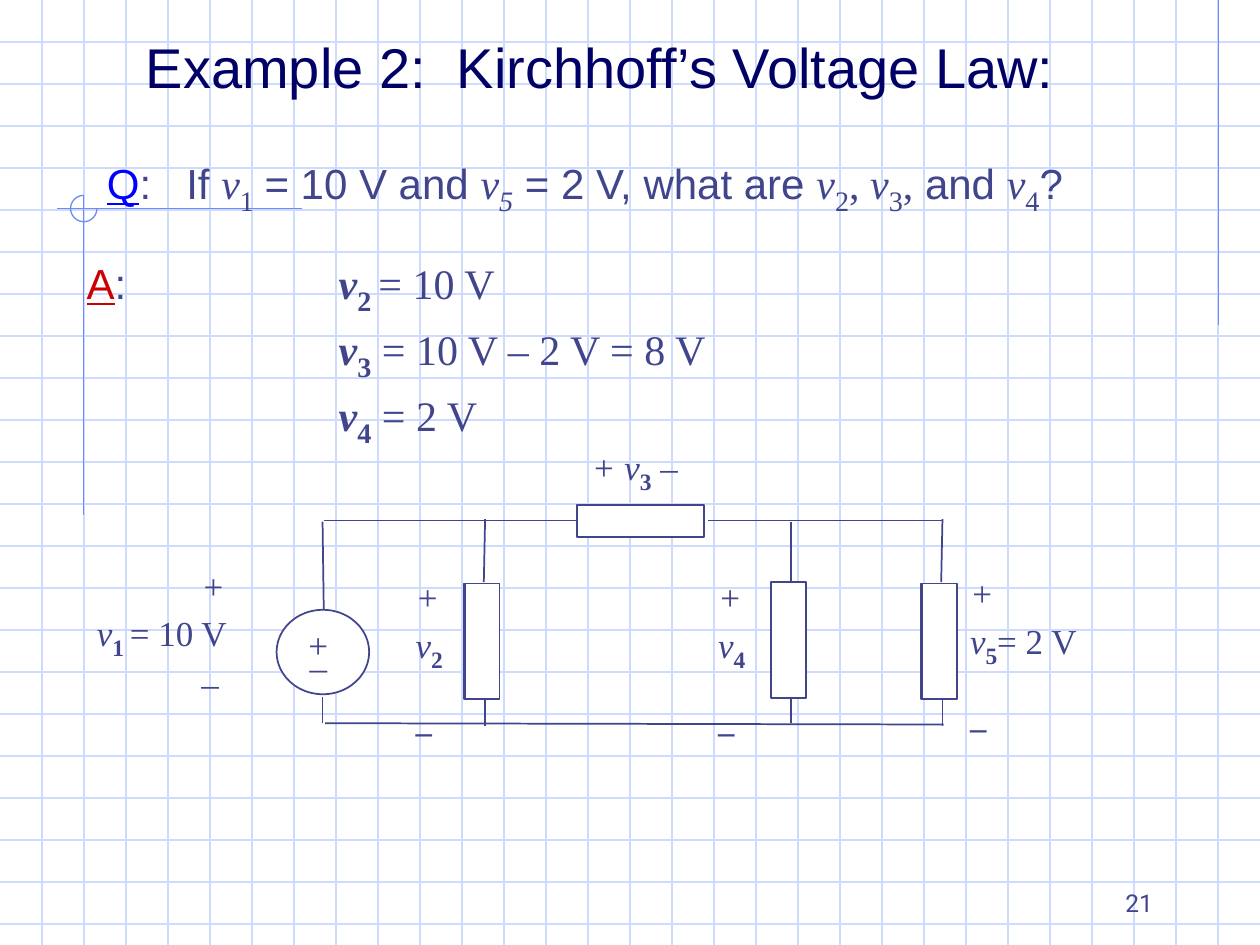
from lxml import etree
from pptx import Presentation
from pptx.dml.color import RGBColor
from pptx.enum.shapes import MSO_CONNECTOR as Connector, MSO_SHAPE as Shape
from pptx.enum.text import MSO_ANCHOR as Anchor, MSO_AUTO_SIZE as AutoSize, PP_ALIGN as Align
from pptx.oxml.ns import qn
from pptx.util import Emu, Inches, Pt

# The slide is a grid of 100 columns by 75 rows of square cells.
COLUMNS, ROWS = 100, 75
CELL = Inches(0.1)
RULING = 10 / 3

WHITE = RGBColor(0xFF, 0xFF, 0xFF)
INK = RGBColor(0x40, 0x45, 0x8C)
NAVY = RGBColor(0x00, 0x00, 0x66)
BLUE = RGBColor(0x00, 0x00, 0xFF)
RED = RGBColor(0xCC, 0x00, 0x00)
PALE = RGBColor(0xCF, 0xDB, 0xFD)
ACCENT = RGBColor(0x6F, 0x89, 0xF7)

SANS, SERIF, NUMBER_FONT = "Arial", "Times New Roman", "Roboto"
SUBSCRIPT_GAIN = 1.155


def cells(count):
    return Emu(round(count * CELL))


def add_line(page, x1, y1, x2, y2, color=INK, width=1):
    line = page.shapes.add_connector(Connector.STRAIGHT, *map(cells, (x1, y1, x2, y2)))
    line.line.color.rgb = color
    line.line.width = Pt(width)
    properties = line._element.find(qn("p:spPr"))
    etree.SubElement(properties, qn("a:effectLst"))


def add_part(page, kind, left, top, width, height, color=INK, line_width=1, filled=True):
    part = page.shapes.add_shape(kind, *map(cells, (left, top, width, height)))
    part.shadow.inherit = False
    if filled:
        part.fill.solid()
        part.fill.fore_color.rgb = WHITE
    else:
        part.fill.background()
    part.line.color.rgb = color
    part.line.width = Pt(line_width)
    return part


def add_span(para, text, marks="", color=INK, size=20, font=SERIF):
    """Marks: i italic, b bold, u underlined, s subscript, a sans serif."""
    span = para.add_run()
    span.text = text
    face = span.font
    face.name = SANS if "a" in marks else font
    face.color.rgb = color
    face.italic = "i" in marks
    face.bold = "b" in marks
    face.underline = "u" in marks
    face.size = Pt(size)
    if "s" in marks:
        face.size = Pt(round(size * SUBSCRIPT_GAIN, 1))
        span._r.get_or_add_rPr().set("baseline", "-25000")


def set_tab(para, column):
    tabs = etree.SubElement(para._p.get_or_add_pPr(), qn("a:tabLst"))
    etree.SubElement(tabs, qn("a:tab"), pos=str(cells(column)), algn="l")


def add_text(page, area, lines, wrap=False, tab=None, **style):
    """Each line is a list of (text, marks, overrides) spans; the last two may be left out."""
    box = page.shapes.add_textbox(*map(cells, area))
    frame = box.text_frame
    frame.word_wrap = wrap
    frame.auto_size = AutoSize.SHAPE_TO_FIT_TEXT
    for index, line in enumerate(lines):
        para = frame.paragraphs[0] if index == 0 else frame.add_paragraph()
        if tab:
            set_tab(para, tab)
        for text, marks, overrides in ((*span, "", {})[:3] if len(span) == 1
                                       else (*span, {})[:3] for span in line):
            add_span(para, text, marks, **{**style, **overrides})
    return box


def draw_paper(page):
    for step in range(1, 23):
        add_line(page, 0, step * RULING, COLUMNS, step * RULING, PALE, 0.75)
    for step in range(1, 30):
        add_line(page, step * RULING, 0, step * RULING, ROWS, PALE, 0.75)
    for ends in ((96.7, 0, 96.7, 25.8), (24, 16.55, 4.5, 16.55), (6.65, 15.5, 6.65, 40.9)):
        add_line(page, *ends, ACCENT, 0.75)
    arc = add_part(page, Shape.ARC, 5.6, 15.5, 2.1, 2.1, ACCENT, 0.75, filled=False)
    arc.adjustments[0], arc.adjustments[1] = 0, 162


def write_problem(page):
    add_text(page, (10.6, 2.1, 74.3, 6.3), [[("Example 2:  Kirchhoff’s Voltage Law:", "a")]],
             size=32, color=NAVY)
    question = [("Q", "au", {"color": BLUE}), (":\tIf ", "a"), ("v", "i"), ("1", "s"), (" ",),
                ("= 10 V and ", "a"), ("v", "i"), ("5", "is"), (" = 2 V, what are ", "a"),
                ("v", "i"), ("2", "s"), (", ",), ("v", "i"), ("3", "s"), (",",),
                (" and ", "a"), ("v", "i"), ("4", "s"), ("?", "a")]
    add_text(page, (7.5, 11.5, 89.9, 5.6), [question], wrap=True, tab=6.3, size=24)
    answers = [
        [("A", "au", {"color": RED}), (":\t", "a"), ("v", "bi"), ("2 ", "bs"), ("= 10 V",)],
        [("\t",), ("v", "bi"), ("3", "bs"), (" = 10 V – 2 V = 8 V",)],
        [("\t",), ("v", "bi"), ("4", "bs"), (" = 2 V",)],
    ]
    add_text(page, (5.9, 19.4, 58.3, 14.8), answers, wrap=True, tab=20, size=24)


def draw_circuit(page):
    wires = [
        (25.6, 41.4, 25.7, 48.5), (25.6, 55.3, 25.6, 57.4),
        (25.7, 41.3, 46.2, 41.3), (56.2, 41.3, 74.8, 41.3),
        (25.8, 57.4, 74.9, 57.5),
        (38.5, 41.2, 38.4, 46.2), (38.5, 55.5, 38.5, 57.6),
        (62.8, 41.4, 62.8, 46.2), (62.8, 55.4, 62.8, 57.4),
        (74.8, 41.2, 74.7, 46.2), (74.8, 55.5, 74.8, 57.6),
    ]
    for wire in wires:
        add_line(page, *wire)
    add_part(page, Shape.OVAL, 21.95, 48.4, 7.35, 6.7)
    add_part(page, Shape.RECTANGLE, 45.8, 40.1, 10.1, 2.5)
    for left, top in ((36.8, 46.3), (36.9, 46.3), (61.2, 46.2), (73.1, 46.3), (73.2, 46.3)):
        add_part(page, Shape.RECTANGLE, left, top, 2.75, 9.2)


def label_circuit(page):
    add_text(page, (23.5, 49, 3.6, 4.3), [[("+",)]])
    add_text(page, (23.6, 49.8, 3.4, 4.3), [[("_",)]])
    source = add_text(page, (6.7, 44.3, 12.4, 11.5),
                      [[("+", "i")], [("v", "i"), ("1 ", "bs"), ("= 10 V",)], [("–",)]])
    for sign in source.text_frame.paragraphs[::2]:
        sign._p.get_or_add_pPr().set("marL", str(cells(8.3)))
    loads = [((32, 45.2, 4.2, 13.6), "2", ""), ((56, 45.2, 4.2, 13.6), "4", ""),
             ((76, 44.9, 10.5, 13.6), "5", "= 2 V")]
    for area, number, value in loads:
        name = [("v", "i"), (number, "bs")] + ([(value,)] if value else [])
        add_text(page, area, [[("+", "i")], name, [("–", "bs", {"size": 28})]])
    add_text(page, (46, 34.4, 9.4, 4.8), [[("+ v", "i"), ("3", "bs"), (" –",)]])


def number_page(page):
    box = add_text(page, (71.7, 68.3, 20.8, 5), [[("21",)]], wrap=True, size=14, font=NUMBER_FONT)
    box.text_frame.auto_size = AutoSize.NONE
    box.text_frame.vertical_anchor = Anchor.BOTTOM
    box.text_frame.paragraphs[0].alignment = Align.RIGHT


def main():
    deck = Presentation()
    deck.slide_width, deck.slide_height = cells(COLUMNS), cells(ROWS)
    page = deck.slides.add_slide(deck.slide_layouts[6])
    page.background.fill.solid()
    page.background.fill.fore_color.rgb = WHITE
    draw_paper(page)
    number_page(page)
    write_problem(page)
    draw_circuit(page)
    label_circuit(page)
    deck.save("out.pptx")


if __name__ == "__main__":
    main()
